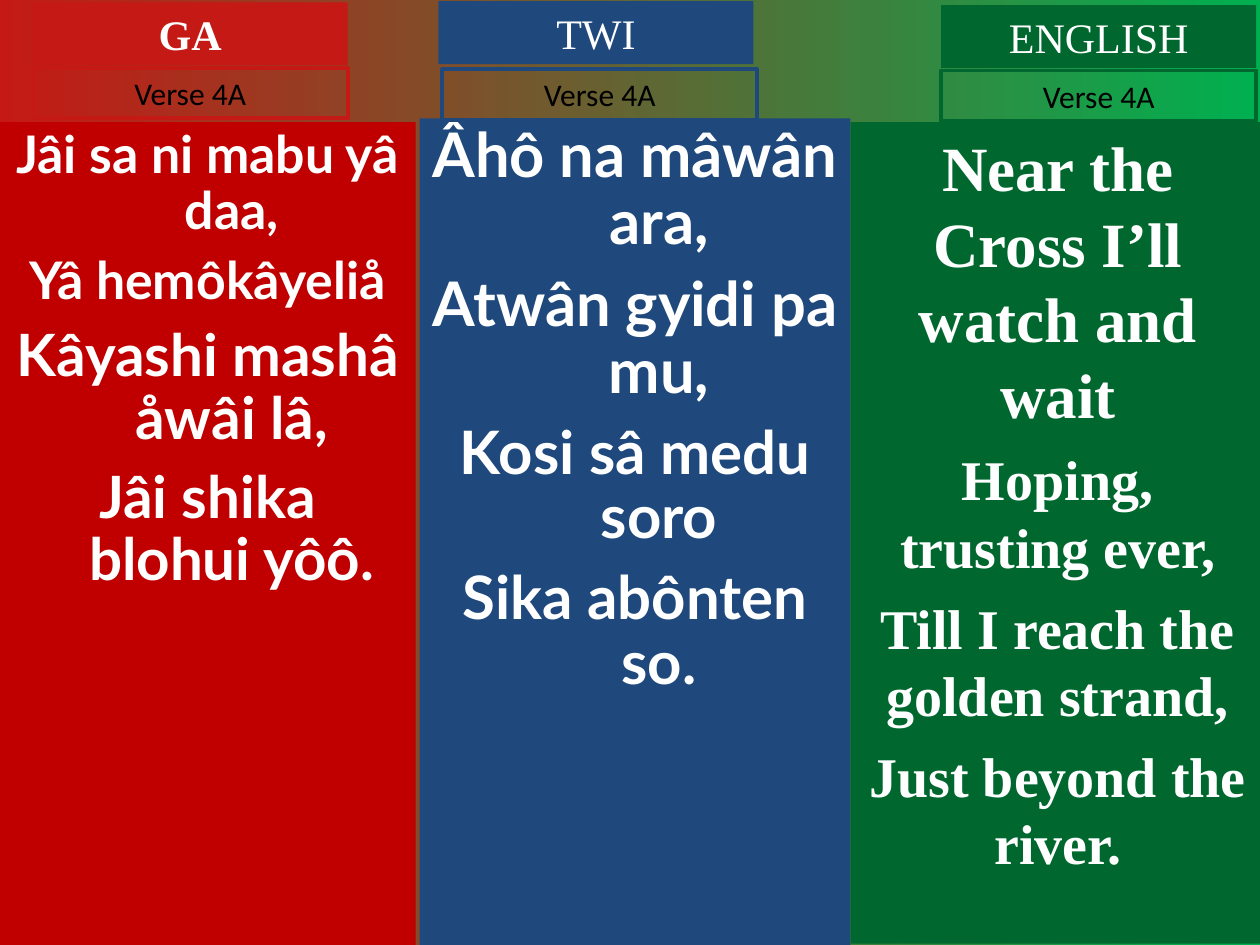
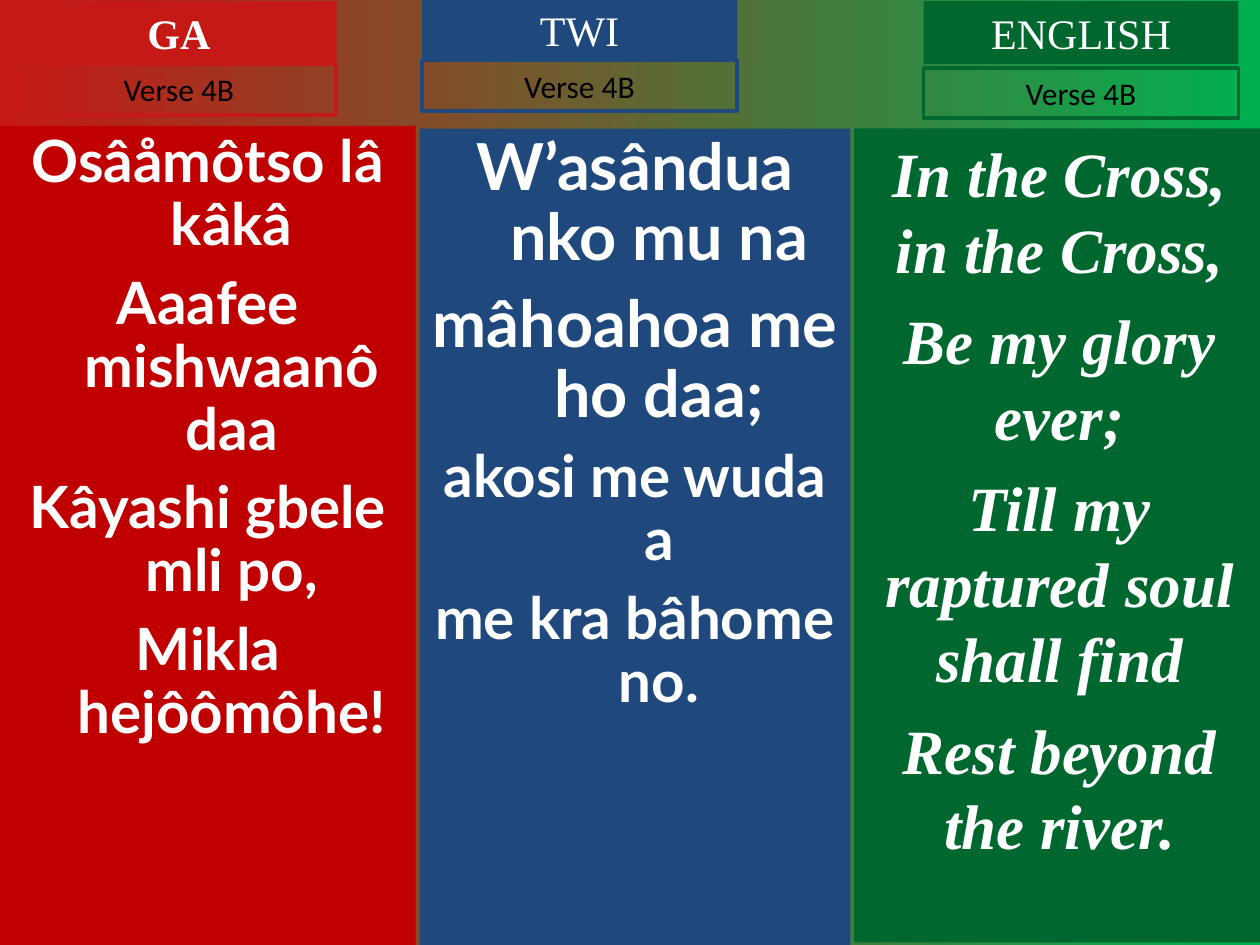
import pptx
import pptx.dml.color
import pptx.enum.shapes
import pptx.enum.text
import pptx.util

PX = 9144
COLORS = {
    "red": "C51915", "deep_red": "C00000", "blue": "1F497D",
    "green": "00682F", "bright_green": "00B050",
    "white": "FFFFFF", "black": "000000",
}
SERIF, SANS, LYRIC = "Times New Roman", "Calibri", "Lato"
BOX_W, TITLE_H, VERSE_H = 250, 50, 40
HANGING = 38

LANGUAGES = [
    {"name": "GA", "color": "red", "panel": "deep_red", "font": LYRIC, "bold": True},
    {"name": "TWI", "color": "blue", "panel": "blue", "font": LYRIC, "bold": False},
    {"name": "ENGLISH", "color": "green", "panel": "green", "font": SERIF, "bold": False},
]

SLIDES = [
    ("Verse 4A", [
        {"title": (26, 2), "verse": (26, 54), "panel": (0, 97, 330, 653),
         "lines": [("Jâi sa ni mabu yâ daa,", 29.6), ("Yâ hemôkâyeliå", 29.6),
                   ("Kâyashi mashâ åwâi lâ,", 33.3), ("Jâi shika blohui yôô.", 33.3)]},
        {"title": (348, 1), "verse": (351, 55), "panel": (333, 94, 342, 656),
         "lines": [("Âhô na mâwân ara,", 35.1), ("Atwân gyidi pa mu,", 35.1),
                   ("Kosi sâ medu soro", 34.2), ("Sika abônten so.", 34.2)]},
        {"title": (747, 4), "verse": (747, 56), "panel": (675, 97, 329, 652),
         "lines": [("Near the Cross I’ll watch and wait", 36), ("Hoping, trusting ever,", 32),
                   ("Till I reach the golden strand,", 32), ("Just beyond the river.", 32)]},
    ]),
    ("Verse 4B", [
        {"title": (17, 1), "verse": (17, 51), "panel": (0, 100, 330, 650),
         "lines": [("Osâåmôtso lâ kâkâ", 33.3), ("Aaafee mishwaanô daa", 33.3),
                   ("Kâyashi gbele mli po,", 33.3), ("Mikla hejôômôhe!", 33.3)]},
        {"title": (335, -1), "verse": (335, 48), "panel": (333, 102, 342, 648),
         "lines": [("W’asândua nko mu na", 37), ("mâhoahoa me ho daa;", 37),
                   ("akosi me wuda a", 33.3), ("me kra bâhome no.", 33.3)]},
        {"title": (733, 1), "verse": (733, 54), "panel": (678, 102, 326, 646),
         "italic": True,
         "lines": [("In the Cross, in the Cross,", 36), ("Be my glory ever;", 36),
                   ("Till my raptured soul shall find", 36), ("Rest beyond the river.", 36)]},
    ]),
]


def rgb(name):
    """Return the named colour."""
    return pptx.dml.color.RGBColor.from_string(COLORS[name])


class Deck:
    """Hymn slides with one column for each language."""

    def __init__(self):
        """Open an empty 4:3 presentation."""
        self.prs = pptx.Presentation()
        self.prs.slide_width = 1000 * PX
        self.prs.slide_height = 750 * PX
        self.s = None

    def slide(self):
        """Start a slide on the red to green background."""
        self.s = self.prs.slides.add_slide(self.prs.slide_layouts[6])
        fill = self.s.background.fill
        fill.gradient()
        fill.gradient_angle = 0
        for stop, name in zip(fill.gradient_stops, ("red", "bright_green")):
            stop.color.rgb = rgb(name)

    def rect(self, x, y, w, h, fill=None, line=None):
        """Add a rectangle and return its text frame."""
        sp = self.s.shapes.add_shape(
            pptx.enum.shapes.MSO_SHAPE.RECTANGLE, x * PX, y * PX, w * PX, h * PX)
        sp.shadow.inherit = False
        if fill:
            sp.fill.solid()
            sp.fill.fore_color.rgb = rgb(fill)
        else:
            sp.fill.background()
        if line:
            sp.line.color.rgb = rgb(line)
            sp.line.width = pptx.util.Pt(2.25)
        else:
            sp.line.fill.background()
        tf = sp.text_frame
        tf.word_wrap = True
        tf.vertical_anchor = pptx.enum.text.MSO_ANCHOR.TOP
        return tf

    def text(self, p, text, size, font, color="white", bold=False, italic=False):
        """Put one centred run into a paragraph."""
        p.alignment = pptx.enum.text.PP_ALIGN.CENTER
        r = p.add_run()
        r.text = text
        r.font.name = font
        r.font.size = pptx.util.Pt(size)
        r.font.bold = bold
        r.font.italic = italic
        r.font.color.rgb = rgb(color)

    def label(self, x, y, h, text, size, font, color="white", bold=False, **style):
        """Add a one-line box that fits its text."""
        tf = self.rect(x, y, BOX_W, h, **style)
        tf.auto_size = pptx.enum.text.MSO_AUTO_SIZE.SHAPE_TO_FIT_TEXT
        self.text(tf.paragraphs[0], text, size, font, color, bold)

    def lyrics(self, box, lines, fill, font, italic=False):
        """Add a panel of verse lines, hanging and tight in the lyric font."""
        tf = self.rect(*box, fill=fill)
        hanging = font == LYRIC
        for i, (line, size) in enumerate(lines):
            p = tf.add_paragraph() if i else tf.paragraphs[0]
            if hanging:
                p.line_spacing = 0.9
                pPr = p._p.get_or_add_pPr()
                pPr.set("marL", str(HANGING * PX))
                pPr.set("indent", str(-HANGING * PX))
            if i:
                gap = size * (0.27 if hanging else 0.25)
                p.space_before = pptx.util.Pt(round(gap, 1))
            self.text(p, line, size, font, bold=True, italic=italic)

    def column(self, language, verse, part):
        """Add the panel, title and verse label of one language."""
        color = language["color"]
        self.lyrics(part["panel"], part["lines"], language["panel"],
                    language["font"], part.get("italic", False))
        self.label(*part["title"], TITLE_H, language["name"], 24, SERIF,
                   bold=language["bold"], fill=color)
        self.label(*part["verse"], VERSE_H, verse, 18, SANS, "black", line=color)


def main():
    """Build and save the slides."""
    deck = Deck()
    for verse, parts in SLIDES:
        deck.slide()
        for language, part in zip(LANGUAGES, parts):
            deck.column(language, verse, part)
    deck.prs.save("out.pptx")


if __name__ == "__main__":
    main()
